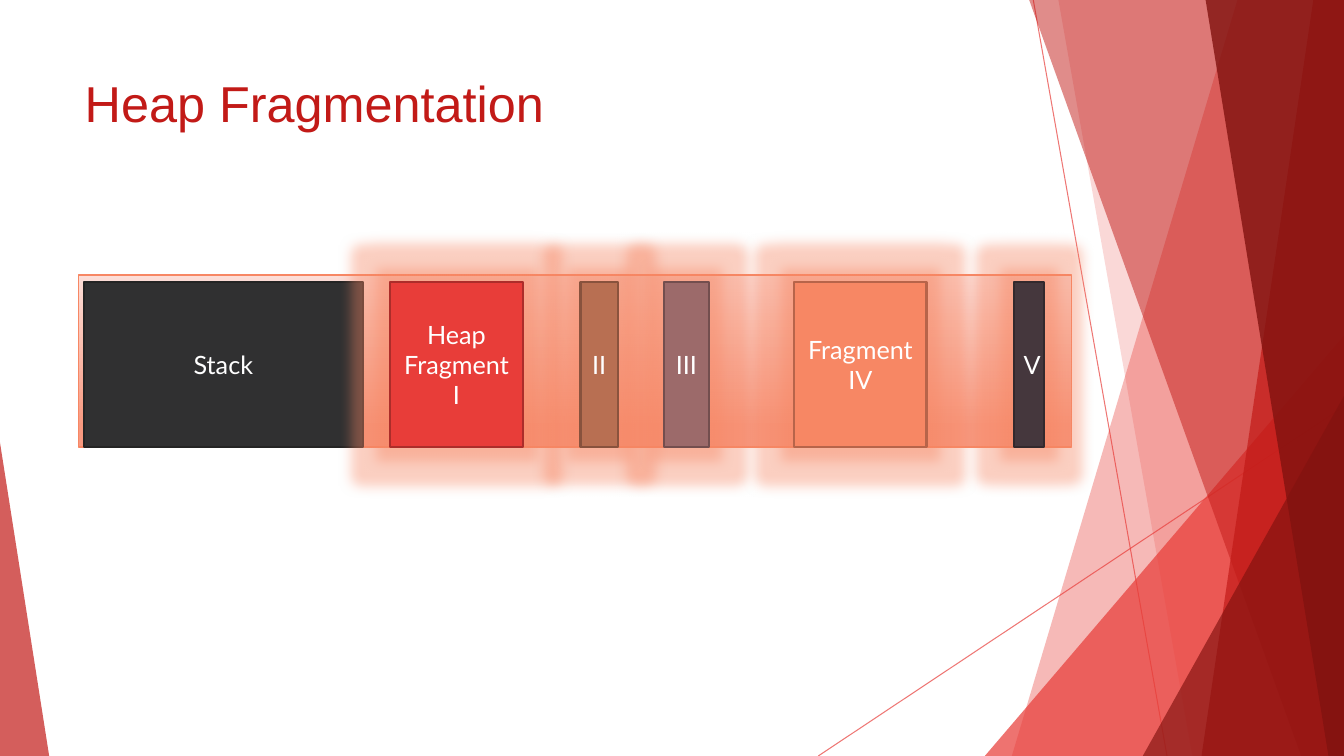
from lxml.etree import SubElement
from pptx import Presentation
from pptx.dml.color import RGBColor
from pptx.enum.shapes import MSO_CONNECTOR, MSO_SHAPE
from pptx.enum.text import MSO_ANCHOR, PP_ALIGN
from pptx.oxml.ns import qn
from pptx.util import Cm, Pt

WIDTH, HEIGHT = 33.87, 19.05
RED, CRIMSON, MAROON, CORAL = "E83D39", "C21A17", "81120F", "F78764"


def rgb(color):
    return RGBColor.from_string(color)


def set_alpha(properties, percent):
    """Make the first colour found in the shape properties translucent."""
    color = next(properties.iter(qn("a:srgbClr")))
    SubElement(color, qn("a:alpha")).set("val", str(percent * 1000))


def fill_plain(shape, color, alpha):
    shape.shadow.inherit = False
    shape.fill.solid()
    shape.fill.fore_color.rgb = rgb(color)
    shape.line.fill.background()
    set_alpha(shape._element.spPr, alpha)


def add_glow(shape, color, radius, alpha):
    effects = shape._element.spPr.find(qn("a:effectLst"))
    glow = SubElement(effects, qn("a:glow"), rad=str(radius))
    SubElement(glow, qn("a:srgbClr"), val=color)
    set_alpha(glow, alpha)


def add_thin_line(slide, start, end):
    line = slide.shapes.add_connector(
        MSO_CONNECTOR.STRAIGHT, *map(Cm, start), *map(Cm, end))
    line.line.color.rgb = rgb(RED)
    line.line.width = Pt(0.75)
    properties = line._element.spPr
    set_alpha(properties, 70)
    SubElement(properties, qn("a:effectLst"))


def add_band(slide, top_x, bottom_x, right, bottom, color, alpha):
    """Fill from a slanted left edge to the right side of the slide."""
    top = -0.02
    builder = slide.shapes.build_freeform(Cm(top_x), Cm(top))
    corners = [(right, top), (right, bottom), (bottom_x, bottom)]
    builder.add_line_segments([(Cm(x), Cm(y)) for x, y in corners])
    fill_plain(builder.convert_to_shape(), color, alpha)


def add_corner(slide, left, top, right, bottom, apex, color, alpha):
    triangle = slide.shapes.add_shape(
        MSO_SHAPE.ISOSCELES_TRIANGLE,
        Cm(left), Cm(top), Cm(right - left), Cm(bottom - top))
    triangle.adjustments[0] = apex
    fill_plain(triangle, color, alpha)


def add_facets(slide, right, bottom):
    """Decoration along the right side and in the lower left corner."""
    add_thin_line(slide, (26.04, 0), (29.41, bottom))
    add_thin_line(slide, (right, 10.24), (20.62, bottom))
    add_band(slide, 31.19, 25.5, right, bottom, RED, 36)
    add_band(slide, 26.67, 30.05, right, bottom, RED, 20)
    add_corner(slide, 24.82, 8.46, right, bottom, 1, RED, 72)
    add_band(slide, 25.93, 32.79, right, bottom, CRIMSON, 50)
    add_band(slide, 33.1, 30.28, right, bottom, CRIMSON, 70)
    add_band(slide, 30.38, 33.48, right, bottom, MAROON, 80)
    add_corner(slide, 28.8, 9.98, right, bottom, 1, MAROON, 66)
    add_corner(slide, 0, 11.15, 1.24, bottom, 0, CRIMSON, 70)


def add_title(slide, text, left, top, width, height):
    title = slide.shapes.title
    title.left, title.top = Cm(left), Cm(top)
    title.width, title.height = Cm(width), Cm(height)
    slide.shapes._spTree.append(title._element)  # in front of the facets
    frame = title.text_frame
    frame.text = text
    frame.vertical_anchor = MSO_ANCHOR.TOP
    paragraph = frame.paragraphs[0]
    paragraph.alignment = PP_ALIGN.LEFT
    paragraph.font.name = "Arial"
    paragraph.font.size = Pt(36)
    paragraph.font.color.rgb = rgb(CRIMSON)


def add_box(slide, left, top, width, height, line_color, line_width):
    box = slide.shapes.add_shape(
        MSO_SHAPE.RECTANGLE, Cm(left), Cm(top), Cm(width), Cm(height))
    box.shadow.inherit = False
    box.line.color.rgb = rgb(line_color)
    box.line.width = Pt(line_width)
    return box


def add_block(slide, text, left, top, width, height, fill, line):
    block = add_box(slide, left, top, width, height, line, 1.5)
    block.fill.solid()
    block.fill.fore_color.rgb = rgb(fill)
    frame = block.text_frame
    frame.text = text
    frame.word_wrap = True
    frame.vertical_anchor = MSO_ANCHOR.MIDDLE
    paragraph = frame.paragraphs[0]
    paragraph.alignment = PP_ALIGN.CENTER
    paragraph.font.name = "Lato"
    paragraph.font.size = Pt(18)
    paragraph.font.color.rgb = rgb("FFFFFF")
    return block


def add_memory(slide, left, top, width, height):
    """Memory bar holding the stack and the glowing heap fragments."""
    bar = add_box(slide, left, top, width, height, CORAL, 1)
    bar.fill.gradient()
    bar.fill.gradient_angle = 270
    stops = [(0, "FCDED8"), (0.88, "F89980")]
    for stop, (position, color) in zip(bar.fill.gradient_stops, stops):
        stop.position = position
        stop.color.rgb = rgb(color)

    # Text, offset in the bar, width, fill, outline
    blocks = [
        ("Stack", 0.13, 7.04, "303031", "242424"),
        ("Heap Fragment I", 7.85, 3.35, RED, "AC2D2A"),
        ("II", 12.65, 0.94, "B86F52", "88523D"),
        ("Fragment IV", 18.04, 3.33, CORAL, "B7644A"),
        ("III", 14.76, 1.12, "9C6A6A", "734E4E"),
        ("V", 23.57, 0.76, "45373D", "33292D"),
    ]
    inset = 0.17
    for text, offset, block_width, fill, line in blocks:
        block = add_block(slide, text, left + offset, top + inset,
                          block_width, height - inset, fill, line)
        if text != "Stack":
            add_glow(block, CORAL, Pt(18), 40)


def main():
    presentation = Presentation()
    presentation.slide_width, presentation.slide_height = Cm(WIDTH), Cm(HEIGHT)
    slide = presentation.slides.add_slide(presentation.slide_layouts[5])
    add_facets(slide, WIDTH, HEIGHT)
    add_title(slide, "Heap Fragmentation", 1.88, 1.7, 23.88, 3.66)
    add_memory(slide, 1.98, 6.93, 25.02, 4.34)
    presentation.save("out.pptx")


if __name__ == "__main__":
    main()
